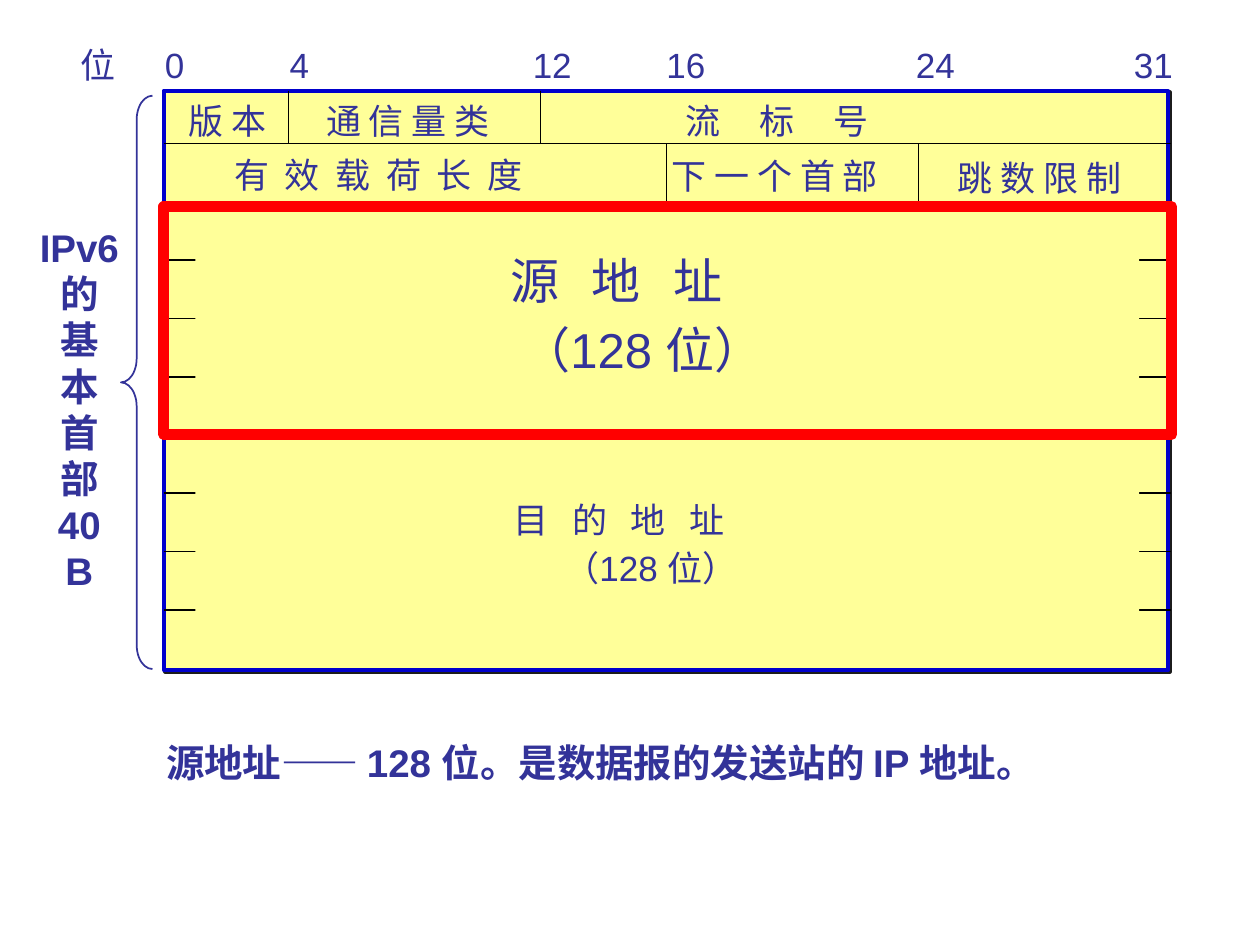
import pptx
import pptx.util
import pptx.dml.color
import pptx.enum.shapes
import pptx.enum.text
import pptx.oxml
import pptx.oxml.ns

Inches = pptx.util.Inches
Pt = pptx.util.Pt
RGBColor = pptx.dml.color.RGBColor
SHAPES = pptx.enum.shapes.MSO_SHAPE

INDIGO = RGBColor(0x33, 0x33, 0x99)
YELLOW = RGBColor(0xFF, 0xFF, 0x99)
BLUE = RGBColor(0x00, 0x00, 0xCC)
RED = RGBColor(0xFF, 0x00, 0x00)
BLACK = RGBColor(0x00, 0x00, 0x00)

SPACE_WIDTH = 0.224  # of the text size, beside Chinese characters
HEADER_LEFT, HEADER_RIGHT, HEADER_TOP = 1.3, 9.29, 0.72
BIT_WIDTH = 0.25
ROW_TOP, ROW_HEIGHT = 1.14, 0.4625

prs = pptx.Presentation()
prs.slide_width, prs.slide_height = Inches(10), Inches(7.5)
slide = prs.slides.add_slide(prs.slide_layouts[6])


def add_text(text, left, top, width, height, size=20, gap=1, bold=False, wrap=False):
    """Add a label; gap is the distance between characters, in space widths."""
    box = slide.shapes.add_textbox(Inches(left), Inches(top), Inches(width), Inches(height))
    frame = box.text_frame
    frame.word_wrap = wrap
    frame.auto_size = pptx.enum.text.MSO_AUTO_SIZE.SHAPE_TO_FIT_TEXT
    frame.text = text
    font_format = {"name": "Arial", "size": Pt(size), "bold": bold}
    for paragraph in frame.paragraphs:
        for run in paragraph.runs:
            for key, value in font_format.items():
                setattr(run.font, key, value)
            run.font.color.rgb = INDIGO
            if gap > 1:
                tracking = (gap - 1) * SPACE_WIDTH * size / 2
                run.font._element.set("spc", str(round(tracking * 100)))
    return frame


def add_outlined(kind, left, top, width, height, fill=None, line=None, weight=1):
    shape = slide.shapes.add_shape(
        kind, Inches(left), Inches(top), Inches(width), Inches(height))
    shape.shadow.inherit = False
    if fill is None:
        shape.fill.background()
    else:
        shape.fill.solid()
        shape.fill.fore_color.rgb = fill
    if line is None:
        shape.line.fill.background()
    else:
        shape.line.color.rgb = line
        shape.line.width = Pt(weight)
    return shape


# Header block with its hard shadow
header = add_outlined(SHAPES.RECTANGLE, HEADER_LEFT, HEADER_TOP, 7.97, 4.6, YELLOW, BLUE, 2.25)
effects = header._element.spPr.find(pptx.oxml.ns.qn("a:effectLst"))
effects.append(pptx.oxml.parse_xml(
    f'<a:outerShdw {pptx.oxml.ns.nsdecls("a")} dist="17780" dir="2700000" algn="ctr" '
    'rotWithShape="0"><a:srgbClr val="1C1C1C"/></a:outerShdw>'))

# Row lines, then field dividers at their bit positions
rules = []
for row in range(9):
    y = ROW_TOP + row * ROW_HEIGHT
    rules.append((HEADER_LEFT, y, HEADER_RIGHT, y))
for bit, row in [(4, 0), (12, 0), (16, 1), (24, 1)]:
    x = HEADER_LEFT - 0.01 + bit * BIT_WIDTH
    top, bottom = [(HEADER_TOP, ROW_TOP), (ROW_TOP, ROW_TOP + ROW_HEIGHT)][row]
    rules.append((x, top, x, bottom))
for x1, y1, x2, y2 in rules:
    rule = slide.shapes.add_connector(
        pptx.enum.shapes.MSO_CONNECTOR.STRAIGHT,
        Inches(x1), Inches(y1), Inches(x2), Inches(y2))
    rule.line.color.rgb = BLACK
    rule.line.width = Pt(1)
    rule._element.spPr.append(
        pptx.oxml.parse_xml(f'<a:effectLst {pptx.oxml.ns.nsdecls("a")}/>'))

# Address areas leave only the ends of the row lines visible
for top in (1.91, 3.76):
    add_outlined(SHAPES.RECTANGLE, 1.55, top, 7.49, 1.24, YELLOW)

# Bit scale
for label, left, width in [
    ("位", 0.54, 0.48), ("0", 1.21, 0.35), ("4", 2.2, 0.35), ("12", 4.13, 0.51),
    ("16", 5.19, 0.51), ("24", 7.17, 0.51), ("31", 8.9, 0.51),
]:
    add_text(label, left, 0.3, width, 0.43)

# Field names
for label, left, top, width, height, size, gap in [
    ("版 本", 1.4, 0.74, 0.89, 0.43, 20, 1),
    ("通 信 量 类", 2.49, 0.74, 1.73, 0.43, 20, 1),
    ("流 标 号", 5.34, 0.74, 2.43, 0.43, 20, 5),
    ("有 效 载 荷 长 度", 1.76, 1.17, 3.26, 0.43, 20, 2),
    ("下 一 个 首 部", 5.23, 1.18, 2.15, 0.43, 20, 1),
    ("跳 数 限 制", 7.5, 1.19, 1.73, 0.43, 20, 1),
    ("源 地 址", 3.95, 1.94, 2.53, 0.56, 28, 3),
    ("（128 位）", 4.04, 2.49, 2.31, 0.56, 28, 1),
    ("目 的 地 址", 3.98, 3.91, 2.56, 0.43, 20, 3),
    ("（128 位）", 4.38, 4.29, 1.71, 0.43, 20, 1),
]:
    add_text(label, left, top, width, height, size, gap)

# Brace and its caption
brace = add_outlined(SHAPES.LEFT_BRACE, 0.96, 0.76, 0.25, 4.55, line=INDIGO)
brace.adjustments[0] = 0.76
brace.adjustments[1] = 0.5
caption = add_text("IPv6\n的\n基\n本\n首\n部\n40 B", 0.21, 1.73, 0.84, 3.03, 22, bold=True)
for paragraph in caption.paragraphs:
    paragraph.alignment = pptx.enum.text.PP_ALIGN.CENTER

# Highlight on the source address, explained below
add_outlined(SHAPES.RECTANGLE, HEADER_LEFT, 1.64, 8, 1.81, line=RED, weight=6)
explanation = add_text("源地址—— 128 位。是数据报的发送站的 IP 地址。",
                       1.22, 5.8, 8.66, 0.59, 22, bold=True, wrap=True)
explanation.paragraphs[0].line_spacing = 1.05

prs.save("out.pptx")
